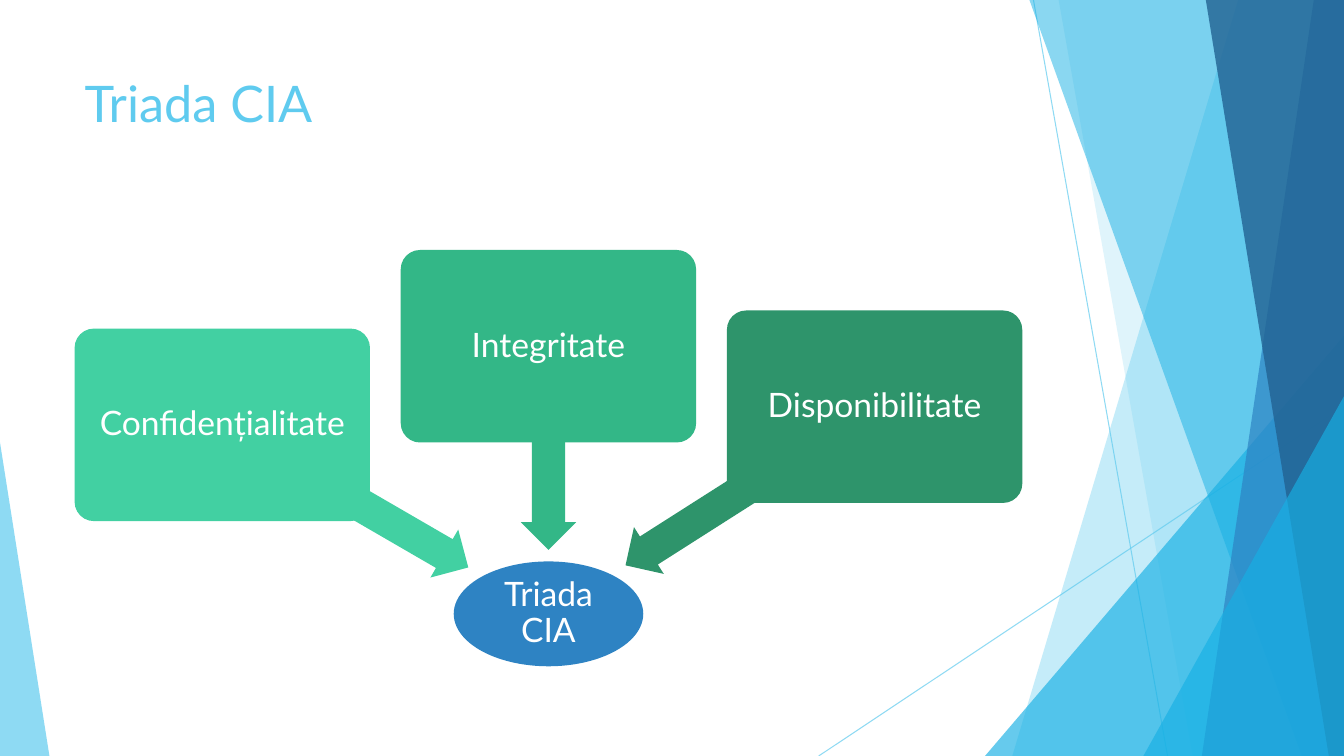
"""Build the CIA triad slide: three principles pointing at one centre."""
from math import cos, radians, sin

from lxml import etree
from pptx import Presentation
from pptx.dml.color import RGBColor
from pptx.enum.shapes import MSO_CONNECTOR as Connector, MSO_SHAPE as Shape
from pptx.enum.text import MSO_ANCHOR as Anchor, PP_ALIGN as Align
from pptx.oxml.ns import qn
from pptx.util import Inches, Pt

TITLE = "Triada CIA"
CENTRE = "Triada CIA"
PRINCIPLES = [
    {"name": "Confidențialitate", "top": 3.26, "color": "mint", "angle": 30.1, "reach": 2.82},
    {"name": "Integritate", "top": 2.48, "color": "green", "angle": 90, "reach": 2.02},
    {"name": "Disponibilitate", "top": 3.08, "color": "forest", "angle": 147.5, "reach": 2.93},
]

THEME = {
    "font": "Lato", "title_size": 36, "label_size": 24, "line_width": 0.75,
    "white": "FFFFFF", "sky": "5FCBEF", "cyan": "17B0E4", "blue": "2E83C3",
    "navy": "226292", "mint": "42D0A2", "green": "33B787", "forest": "2E946B",
}

WIDTH, HEIGHT = 13.33, 7.5
RAYS = [((10.25, 0), (11.58, HEIGHT)), ((WIDTH, 4.03), (8.12, HEIGHT))]
RAY_OPACITY = 70
FACETS = [
    ("panel", (12.28, 10.04), "sky", 36),
    ("panel", (10.5, 11.83), "sky", 20),
    ("wedge", (9.77, 3.33, 3.56, 1), "cyan", 66),
    ("panel", (10.21, 12.91), "cyan", 50),
    ("panel", (13.03, 11.92), "blue", 70),
    ("panel", (11.96, 13.18), "navy", 80),
    ("wedge", (11.34, 3.93, 1.99, 1), "cyan", 66),
    ("wedge", (0, 4.39, 0.49, 0), "sky", 70),
]
BOX_LEFT, BOX_STEP = 0.74, 3.235
BOX_WIDTH, BOX_HEIGHT = 2.93, 1.91
ARROW_HEIGHT = 0.55
ELLIPSE = (4.5, 5.57, 1.88, 1.04)


def color_of(name):
    return RGBColor.from_string(THEME[name])


def set_opacity(shape, percent):
    for color in shape._element.spPr.iter(qn("a:srgbClr")):
        etree.SubElement(color, qn("a:alpha")).set("val", str(percent * 1000))


def paint(shape, color):
    shape.shadow.inherit = False
    shape.fill.solid()
    shape.fill.fore_color.rgb = color_of(color)
    shape.line.fill.background()
    return shape


def add_preset(slide, kind, bounds, color):
    return paint(slide.shapes.add_shape(kind, *map(Inches, bounds)), color)


def write(shape, text, size, color):
    frame = shape.text_frame
    frame.word_wrap = True
    frame.text = text
    font = frame.paragraphs[0].runs[0].font
    font.name, font.size = THEME["font"], Pt(THEME[size])
    font.color.rgb = color_of(color)
    return frame


def write_label(shape, text, inset):
    frame = write(shape, text, "label_size", "white")
    frame.vertical_anchor = Anchor.MIDDLE
    frame.margin_left = frame.margin_right = Inches(inset)
    frame.margin_top = frame.margin_bottom = Inches(inset)
    para = frame.paragraphs[0]
    para.alignment, para.line_spacing = Align.CENTER, 0.9


def add_ray(slide, start, end):
    ray = slide.shapes.add_connector(Connector.STRAIGHT, *map(Inches, start + end))
    ray.line.width = Pt(THEME["line_width"])
    ray.line.color.rgb = color_of("sky")
    set_opacity(ray, RAY_OPACITY)
    etree.SubElement(ray._element.spPr, qn("a:effectLst"))


def add_panel(slide, edge, color):
    top_x, bottom_x = edge
    corners = [(WIDTH, 0), (WIDTH, HEIGHT), (bottom_x, HEIGHT)]
    builder = slide.shapes.build_freeform(Inches(top_x), 0)
    builder.add_line_segments([(Inches(x), Inches(y)) for x, y in corners])
    return paint(builder.convert_to_shape(), color)


def add_wedge(slide, place, color):
    left, top, width, apex = place
    bounds = (left, top, width, HEIGHT - top)
    wedge = add_preset(slide, Shape.ISOSCELES_TRIANGLE, bounds, color)
    wedge.adjustments[0] = apex
    return wedge


def add_principle(slide, index, principle):
    left, top, color = BOX_LEFT + index * BOX_STEP, principle["top"], principle["color"]
    reach, angle = principle["reach"], radians(principle["angle"])
    middle_x = left + BOX_WIDTH / 2 + reach / 2 * cos(angle)
    middle_y = top + BOX_HEIGHT / 2 + reach / 2 * sin(angle)
    bounds = (middle_x - reach / 2, middle_y - ARROW_HEIGHT / 2, reach, ARROW_HEIGHT)
    arrow = add_preset(slide, Shape.LEFT_ARROW, bounds, color)
    arrow.adjustments[0], arrow.adjustments[1] = 0.6, 0.5
    arrow.rotation = principle["angle"] + 180
    box = add_preset(slide, Shape.ROUNDED_RECTANGLE, (left, top, BOX_WIDTH, BOX_HEIGHT), color)
    box.adjustments[0] = 0.1
    write_label(box, principle["name"], 0.05)


def main():
    deck = Presentation()
    deck.slide_width, deck.slide_height = Inches(WIDTH), Inches(HEIGHT)
    slide = deck.slides.add_slide(deck.slide_layouts[6])
    for start, end in RAYS:
        add_ray(slide, start, end)
    makers = {"panel": add_panel, "wedge": add_wedge}
    for kind, place, color, opacity in FACETS:
        set_opacity(makers[kind](slide, place, color), opacity)
    title = slide.shapes.add_textbox(*map(Inches, (0.74, 0.67, 9.4, 1.44)))
    write(title, TITLE, "title_size", "sky")
    write_label(add_preset(slide, Shape.OVAL, ELLIPSE, "blue"), CENTRE, 0.02)
    for index, principle in enumerate(PRINCIPLES):
        add_principle(slide, index, principle)
    deck.save("out.pptx")


if __name__ == "__main__":
    main()
